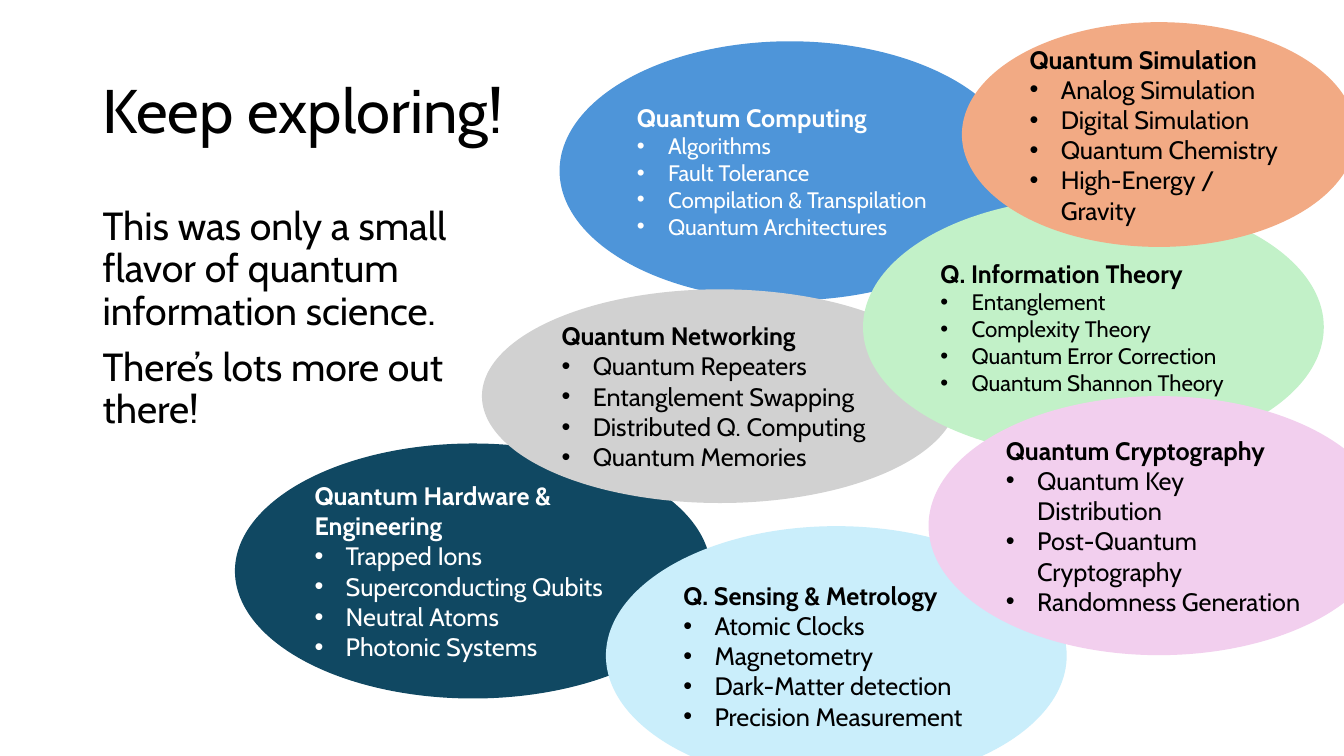
from dataclasses import dataclass

from lxml.etree import SubElement
from pptx import Presentation
from pptx.dml.color import RGBColor as Color
from pptx.enum.shapes import MSO_SHAPE as Shape
from pptx.enum.text import MSO_ANCHOR as Anchor, PP_ALIGN as Align
from pptx.oxml.ns import qn
from pptx.util import Inches, Pt


@dataclass(frozen=True)
class Theme:
    font: str = "Cabin"
    black: str = "000000"
    white: str = "FFFFFF"
    navy: str = "104862"
    blue: str = "4E95D9"
    gray: str = "D1D1D1"
    green: str = "C2F1C8"
    orange: str = "F2AA84"
    sky: str = "CAEEFB"
    pink: str = "F2CFEE"
    title: int = 44
    body: int = 28
    topic: int = 18
    small: int = 16


theme = Theme()


def style(paragraph, size, color, bold=False):
    for run in paragraph.runs:
        run.font.name = theme.font
        run.font.size = Pt(size)
        run.font.bold = bold
        run.font.color.rgb = Color.from_string(color)


def add_bullet(paragraph):
    properties = paragraph._p.get_or_add_pPr()
    properties.set("marL", str(Inches(0.31)))
    properties.set("indent", str(-Inches(0.31)))
    SubElement(properties, qn("a:buFont"), typeface="Arial")
    SubElement(properties, qn("a:buChar"), char="•")


presentation = Presentation()
presentation.slide_width = Inches(13.33)
presentation.slide_height = Inches(7.5)
slide = presentation.slides.add_slide(presentation.slide_layouts[6])

# Title and message
messages = [
    ((0.92, 0.4, 11.5, 1.45), Anchor.MIDDLE, theme.title, ["Keep exploring!"]),
    ((0.92, 2, 4.23, 3), Anchor.TOP, theme.body, [
        "This was only a small flavor of quantum information science.",
        "There’s lots more out there!"]),
]
for box, anchor, size, lines in messages:
    text_frame = slide.shapes.add_textbox(*map(Inches, box)).text_frame
    text_frame.word_wrap = True
    text_frame.vertical_anchor = anchor
    text_frame.text = "\n".join(lines)
    for index, paragraph in enumerate(text_frame.paragraphs):
        paragraph.line_spacing = 0.9
        if index:
            paragraph.space_before = Pt(10)
        style(paragraph, size, theme.black)

# Overlapping topic ellipses, from back to front
topics = [
    ((2.33, 4.4, 4.72, 2.53), theme.navy, theme.white, theme.topic,
     "Quantum Hardware & Engineering",
     ["Trapped Ions", "Superconducting Qubits", "Neutral Atoms", "Photonic Systems"]),
    ((5.55, 0.41, 4.57, 2.57), theme.blue, theme.white, theme.small,
     "Quantum Computing",
     ["Algorithms", "Fault Tolerance", "Compilation & Transpilation",
      "Quantum Architectures"]),
    ((4.78, 2.87, 4.72, 2.12), theme.gray, theme.black, theme.topic,
     "Quantum Networking",
     ["Quantum Repeaters", "Entanglement Swapping", "Distributed Q. Computing",
      "Quantum Memories"]),
    ((8.56, 1.96, 4.57, 2.57), theme.green, theme.black, theme.small,
     "Q. Information Theory",
     ["Entanglement", "Complexity Theory", "Quantum Error Correction",
      "Quantum Shannon Theory"]),
    ((9.54, 0.22, 3.91, 2.23), theme.orange, theme.black, theme.topic,
     "Quantum Simulation",
     ["Analog Simulation", "Digital Simulation", "Quantum Chemistry",
      "High-Energy / Gravity"]),
    ((6.01, 5.22, 4.57, 2.57), theme.sky, theme.black, theme.topic,
     "Q. Sensing & Metrology",
     ["Atomic Clocks", "Magnetometry", "Dark-Matter detection",
      "Precision Measurement"]),
    ((9.21, 3.93, 4.57, 2.57), theme.pink, theme.black, theme.topic,
     "Quantum Cryptography",
     ["Quantum Key Distribution", "Post-Quantum Cryptography",
      "Randomness Generation"]),
]
for box, fill, color, size, heading, items in topics:
    ellipse = slide.shapes.add_shape(Shape.OVAL, *map(Inches, box))
    ellipse.shadow.inherit = False
    ellipse.fill.solid()
    ellipse.fill.fore_color.rgb = Color.from_string(fill)
    ellipse.line.fill.background()
    text_frame = ellipse.text_frame
    text_frame.word_wrap = True
    text_frame.vertical_anchor = Anchor.MIDDLE
    text_frame.text = "\n".join([heading, *items])
    for index, paragraph in enumerate(text_frame.paragraphs):
        paragraph.alignment = Align.LEFT
        if index:
            add_bullet(paragraph)
            style(paragraph, size, color)
        else:
            style(paragraph, theme.topic, color, bold=True)

presentation.save("out.pptx")
